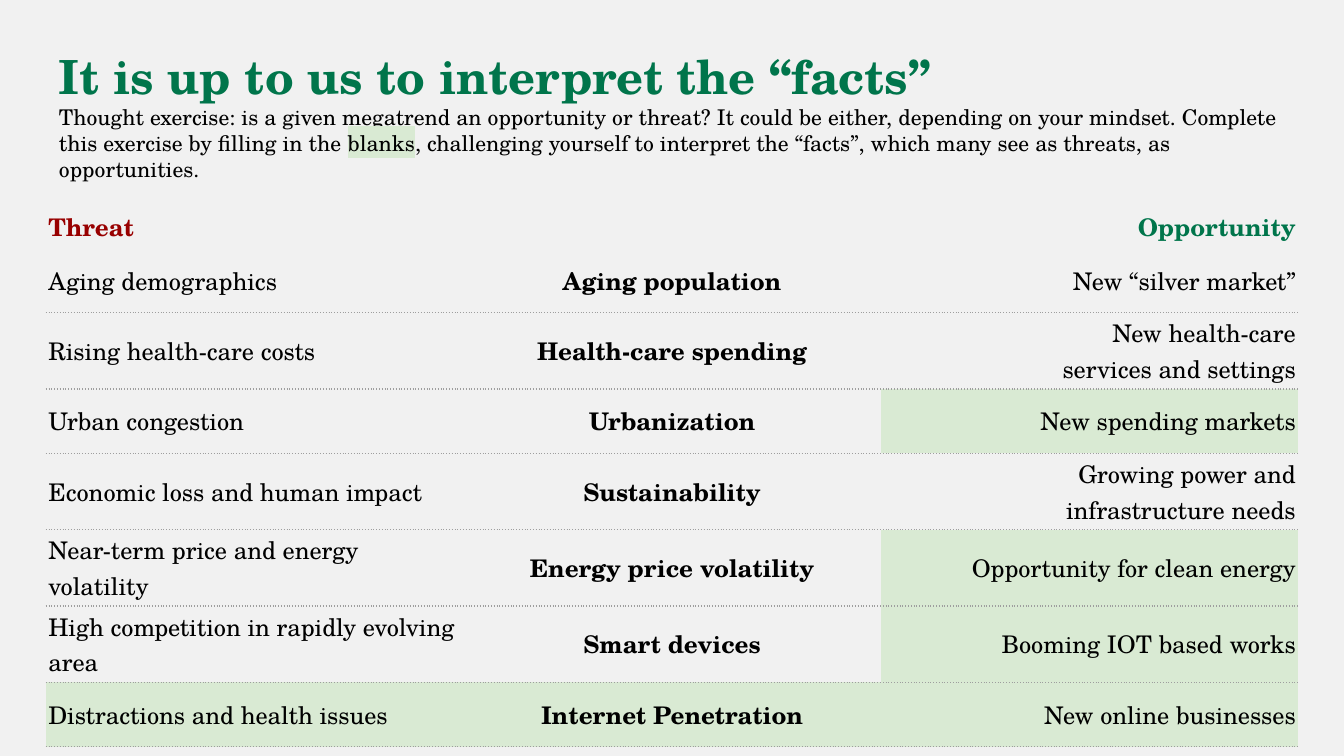
from lxml.etree import SubElement
from pptx import Presentation
from pptx.dml.color import RGBColor
from pptx.enum.text import MSO_ANCHOR, PP_ALIGN
from pptx.oxml import parse_xml
from pptx.oxml.ns import nsdecls, qn
from pptx.util import Pt

FONT = "TeX Gyre Schola"
GREEN = RGBColor(0x00, 0x75, 0x4B)
RED = RGBColor(0x98, 0x00, 0x00)
BLACK = RGBColor(0x00, 0x00, 0x00)
PALE_GREEN = RGBColor(0xD9, 0xEA, 0xD3)
GREY = RGBColor(0x9E, 0x9E, 0x9E)
BACKGROUND = RGBColor(0xF1, 0xF1, 0xF1)


def add_run(p, text, size, color, bold=False):
    r = p.add_run()
    r.text = text
    r.font.size = Pt(size)
    r.font.bold = bold
    r.font.color.rgb = color
    r.font.name = FONT
    return r


def add_bottom_border(cell):
    cell._tc.get_or_add_tcPr().insert(0, parse_xml(
        f'<a:lnB {nsdecls("a")} w="9525"><a:solidFill><a:srgbClr val="{GREY}"/>'
        '</a:solidFill><a:prstDash val="dot"/></a:lnB>'))


prs = Presentation()
prs.slide_width, prs.slide_height = Pt(720), Pt(405)
s = prs.slides.add_slide(prs.slide_layouts[6])
s.background.fill.solid()
s.background.fill.fore_color.rgb = BACKGROUND

LEFT, WIDTH = 24.5, 671

title = s.shapes.add_textbox(Pt(LEFT), Pt(18), Pt(WIDTH), Pt(45.4))
tf = title.text_frame
tf.word_wrap = True
tf.margin_left = tf.margin_right = tf.margin_top = tf.margin_bottom = Pt(7.2)
add_run(tf.paragraphs[0], "It is up to us to interpret the “facts”", 25.2, GREEN, True)
p = tf.add_paragraph()
add_run(p, "Thought exercise: is a given megatrend an opportunity or threat? "
           "It could be either, depending on your mindset. Complete this exercise "
           "by filling in the ", 11.6, BLACK)
blanks = add_run(p, "blanks", 11.6, BLACK)
add_run(p, ", challenging yourself to interpret the “facts”, which many see as "
           "threats, as opportunities.", 11.6, BLACK)
highlight = SubElement(blanks.font._element, qn("a:highlight"))
SubElement(highlight, qn("a:srgbClr"), val=str(PALE_GREEN))
blanks.font._element.find(qn("a:solidFill")).addnext(highlight)

HEADER, SINGLE, DOUBLE = 22.8, 34.5, 40.9
rows = [
    (HEADER, "Threat", "", "Opportunity"),
    (SINGLE, "Aging demographics", "Aging population", "New “silver market”"),
    (DOUBLE, "Rising health-care costs", "Health-care spending",
     "New health-care\nservices and settings"),
    (SINGLE, "Urban congestion", "Urbanization", "New spending markets"),
    (DOUBLE, "Economic loss and human impact", "Sustainability",
     "Growing power and\ninfrastructure needs"),
    (DOUBLE, "Near-term price and energy volatility", "Energy price volatility",
     "Opportunity for clean energy"),
    (DOUBLE, "High competition in rapidly evolving area", "Smart devices",
     "Booming IOT based works"),
    (SINGLE, "Distractions and health issues", "Internet Penetration",
     "New online businesses"),
]
shaded = {(3, 2), (5, 2), (6, 2), (7, 0), (7, 1), (7, 2)}
aligns = [PP_ALIGN.LEFT, PP_ALIGN.CENTER, PP_ALIGN.RIGHT]
header_colors = [RED, BLACK, GREEN]

frame = s.shapes.add_table(len(rows), 3, Pt(LEFT), Pt(110.2), Pt(WIDTH),
                           Pt(sum(row[0] for row in rows)))
table = frame.table
table.first_row = table.horz_banding = False
table._tbl.tblPr.find(qn("a:tableStyleId")).text = "{2D5ABB26-0587-4C30-8999-92F81FD0307C}"
for column in table.columns:
    column.width = Pt(WIDTH / 3)

for i, (height, *texts) in enumerate(rows):
    table.rows[i].height = Pt(height)
    for j, text in enumerate(texts):
        cell = table.cell(i, j)
        cell.vertical_anchor = MSO_ANCHOR.MIDDLE
        cell.margin_left = cell.margin_right = Pt(1.44)
        cell.margin_top = cell.margin_bottom = Pt(1.44)
        if (i, j) in shaded:
            cell.fill.solid()
            cell.fill.fore_color.rgb = PALE_GREEN
        else:
            cell.fill.background()
        if i > 0:
            add_bottom_border(cell)
        tf = cell.text_frame
        for n, line in enumerate(text.split("\n")):
            p = tf.add_paragraph() if n else tf.paragraphs[0]
            p.alignment = aligns[j]
            if line:
                color = BLACK if i else header_colors[j]
                add_run(p, line, 13, color, i == 0 or j == 1)
            else:
                SubElement(p._p, qn("a:endParaRPr"), sz="1300")

prs.save("out.pptx")
